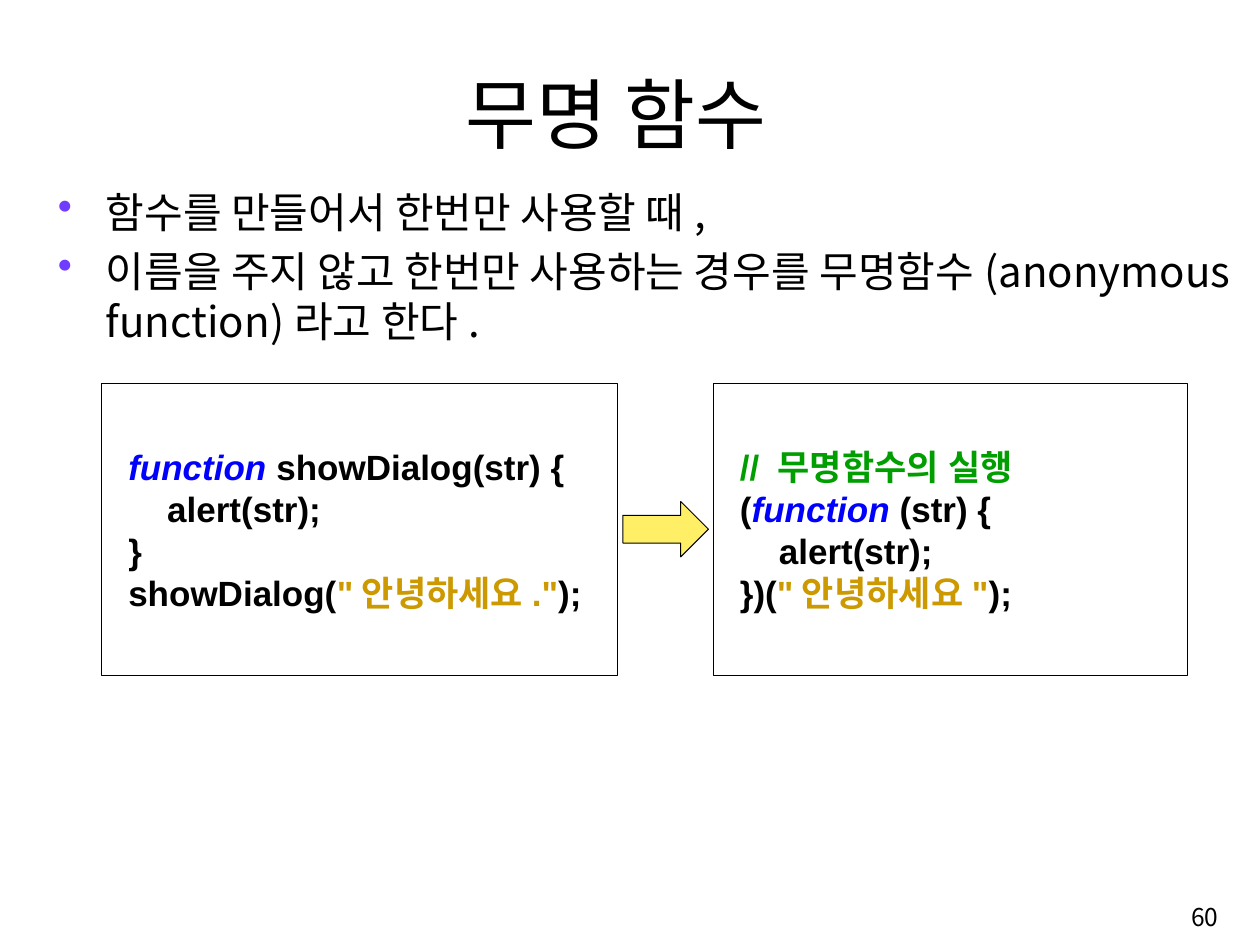
"""Build a slide that explains anonymous functions."""
from lxml.etree import SubElement
from pptx import Presentation
from pptx.dml.color import RGBColor
from pptx.enum.shapes import MSO_SHAPE
from pptx.enum.text import MSO_ANCHOR, PP_ALIGN
from pptx.oxml.ns import qn
from pptx.util import Cm, Pt

BLACK = RGBColor(0, 0, 0)
WHITE = RGBColor(255, 255, 255)
BLUE = RGBColor(0, 0, 255)
GOLD = RGBColor(204, 153, 0)
GREEN = RGBColor(0, 158, 0)
YELLOW = RGBColor(255, 239, 102)
SANS, CODE = "Noto Sans CJK KR", "Arial"

TITLE = "무명 함수"
POINTS = [
    "함수를 만들어서 한번만 사용할 때,",
    "이름을 주지 않고 한번만 사용하는 경우를 무명함수(anonymous function)라고 한다.",
]
NUMBER = "60"
NAMED = [
    (0, [("function ", BLUE), ("showDialog(str) {", BLACK)]),
    (1, [("alert(str);", BLACK)]),
    (0, [("}", BLACK)]),
    (0, [("showDialog(", BLACK), ('"안녕하세요."', GOLD), (");", BLACK)]),
]
UNNAMED = [
    (0, [("// 무명함수의 실행", GREEN)]),
    (0, [("(", BLACK), ("function", BLUE), (" (str) {", BLACK)]),
    (1, [("alert(str);", BLACK)]),
    (0, [("})(", BLACK), ('"안녕하세요"', GOLD), (");", BLACK)]),
]
PANELS = [(2.67, 13.51, NAMED), (18.69, 12.42, UNNAMED)]
TOP, HIGH = 10.03, 7.65
ARROW = (2.24, 1.45)


def style(run, font, size, color):
    run.font.name, run.font.size = font, Pt(size)
    run.font.color.rgb = color
    SubElement(run.font._element, qn("a:ea")).set("typeface", font)


def indent(para, left, first=0):
    props = para._p.get_or_add_pPr()
    props.set("marL", str(Cm(left)))
    props.set("indent", str(Cm(first)))
    return props


def add_text(slide, place, lines, size, align, anchor):
    frame = slide.shapes.add_textbox(*map(Cm, place)).text_frame
    frame.word_wrap = True
    frame.vertical_anchor = anchor
    frame.text = "\n".join(lines)
    for para in frame.paragraphs:
        para.alignment = align
        style(para.runs[0], SANS, size, BLACK)
    return frame


def add_bullet(para):
    para.space_before = Pt(6.24)
    props = indent(para, 1.25, -1.25)
    tint = SubElement(props, qn("a:buClr"))
    SubElement(tint, qn("a:srgbClr")).set("val", "703DFF")
    SubElement(props, qn("a:buChar")).set("char", "•")


def add_shape(slide, kind, place, fill):
    shape = slide.shapes.add_shape(kind, *map(Cm, place))
    shape.shadow.inherit = False
    shape.fill.solid()
    shape.fill.fore_color.rgb = fill
    shape.line.color.rgb = BLACK
    shape.line.width = Pt(0.75)
    return shape


def add_code(slide, left, width, lines):
    place = (left, TOP, width, HIGH)
    frame = add_shape(slide, MSO_SHAPE.RECTANGLE, place, WHITE).text_frame
    frame.margin_left = frame.margin_right = Cm(0.33)
    frame.margin_top = frame.margin_bottom = Cm(0.16)
    frame.vertical_anchor = MSO_ANCHOR.MIDDLE
    frame.text = "\n" * (len(lines) - 1)
    for para, (level, parts) in zip(frame.paragraphs, lines):
        para.alignment = PP_ALIGN.LEFT
        indent(para, 0.36 + 1.02 * level)
        for text, color in parts:
            run = para.add_run()
            run.text = text
            style(run, CODE, 26, color)
            run.font.bold, run.font.italic = True, color == BLUE


def main():
    deck = Presentation()
    deck.slide_width, deck.slide_height = Cm(33), Cm(24.74)
    slide = deck.slides.add_slide(deck.slide_layouts[6])
    add_text(slide, (2.67, 1.55, 26.95, 2.74), [TITLE], 57.2,
             PP_ALIGN.CENTER, MSO_ANCHOR.BOTTOM)
    body = add_text(slide, (1.27, 4.75, 31.29, 17.93), POINTS, 31.2,
                    PP_ALIGN.LEFT, MSO_ANCHOR.TOP)
    for para in body.paragraphs:
        add_bullet(para)
    for left, width, lines in PANELS:
        add_code(slide, left, width, lines)
    start = PANELS[0][0] + PANELS[0][1]
    wide, tall = ARROW
    place = ((start + PANELS[1][0] - wide) / 2, TOP + (HIGH - tall) / 2, wide, tall)
    add_shape(slide, MSO_SHAPE.RIGHT_ARROW, place, YELLOW)
    add_text(slide, (25.35, 23.24, 6.81, 1.52), [NUMBER], 18.2,
             PP_ALIGN.RIGHT, MSO_ANCHOR.MIDDLE)
    deck.save("out.pptx")


if __name__ == "__main__":
    main()
